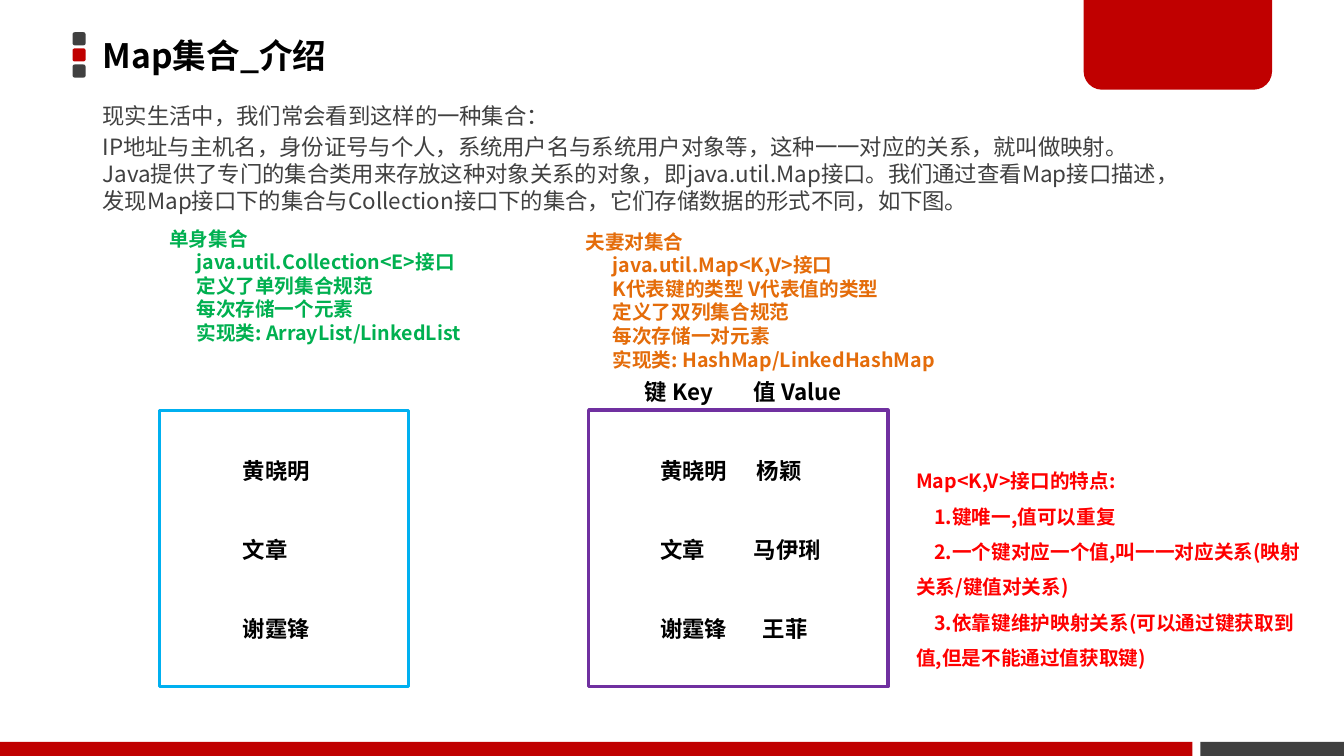
from dataclasses import dataclass

from lxml import etree
from pptx import Presentation
from pptx import util as u
from pptx.dml import color
from pptx.enum import shapes, text
from pptx.oxml import ns

# Grid of square cells, a tenth of an inch each
COLUMNS, ROWS = 133.33, 75
CELL = u.Inches(0.1)

TITLE_FONT, NOTE_FONT = "Noto Sans CJK JP", "Noto Sans CJK SC"
BLACK, GRAY, CRIMSON = "000000", "404040", "C00000"
GREEN, ORANGE, RED = "00B050", "E46C0A", "FF0000"
SKY, PURPLE = "00B0F0", "7030A0"

RECTANGLE = shapes.MSO_SHAPE.RECTANGLE
ROUNDED = shapes.MSO_SHAPE.ROUNDED_RECTANGLE
TAB_SHAPE = shapes.MSO_SHAPE.ROUND_2_SAME_RECTANGLE


@dataclass
class Area:
    """A place on the slide, in grid columns and rows."""
    column: float
    row: float
    width: float
    height: float

    def lengths(self) -> list[int]:
        return [cells(n) for n in (self.column, self.row, self.width, self.height)]


@dataclass
class Block:
    area: Area
    kind: int
    fill: str = ""
    line: str = ""
    line_width: float = 0
    adjustments: tuple = ()


@dataclass
class Note:
    """Text; margin and indent apply to every paragraph after the first."""
    area: Area
    lines: list[str]
    size: float
    color: str = BLACK
    font: str = NOTE_FONT
    bold: bool = True
    middle: bool = False
    margin: float = 0
    indent: float = 0
    tab: float = 0
    space_before: float = 0
    line_spacing: float = 1


def cells(count: float) -> int:
    return round(count * CELL)


def rgb(value: str) -> color.RGBColor:
    return color.RGBColor.from_string(value)


def draw_block(slide, block: Block) -> None:
    shape = slide.shapes.add_shape(block.kind, *block.area.lengths())
    shape.shadow.inherit = False
    for index, value in enumerate(block.adjustments):
        shape.adjustments[index] = value
    if block.fill:
        shape.fill.solid()
        shape.fill.fore_color.rgb = rgb(block.fill)
    else:
        shape.fill.background()
    if block.line:
        shape.line.color.rgb = rgb(block.line)
        shape.line.width = u.Pt(block.line_width)
    else:
        shape.line.fill.background()


def format_paragraph(paragraph, note: Note, is_first: bool) -> None:
    paragraph.line_spacing = note.line_spacing
    paragraph.space_before = u.Pt(note.space_before)
    properties = paragraph._p.get_or_add_pPr()
    if not is_first:
        properties.set("marL", str(cells(note.margin)))
        properties.set("indent", str(cells(note.indent)))
    if note.tab:
        tabs = etree.SubElement(properties, ns.qn("a:tabLst"))
        etree.SubElement(tabs, ns.qn("a:tab"), pos=str(cells(note.tab)), algn="l")
    for run in paragraph.runs:
        font = run.font
        font.name, font.size, font.bold = note.font, u.Pt(note.size), note.bold
        font.color.rgb = rgb(note.color)
        etree.SubElement(run._r.get_or_add_rPr(), ns.qn("a:ea"), typeface=note.font)


def draw_note(slide, note: Note) -> None:
    frame = slide.shapes.add_textbox(*note.area.lengths()).text_frame
    frame.word_wrap = True
    if note.middle:
        frame.vertical_anchor = text.MSO_ANCHOR.MIDDLE
    frame.text = "\n".join(note.lines)
    for index, paragraph in enumerate(frame.paragraphs):
        format_paragraph(paragraph, note, index == 0)


FRAME_TOP, FRAME_HEIGHT = 40.7, 27.4
NAME_TOP, NAME_STEP, NAME_HEIGHT = 44.9, 7.83, 3.7

BLOCKS = [
    *(Block(Area(7.2, 3.2 + 1.6 * i, 1.3, 1.3), ROUNDED, fill)
      for i, fill in enumerate((GRAY, CRIMSON, GRAY))),
    Block(Area(119.1, 73.6, COLUMNS - 119.1, 1.4), RECTANGLE, GRAY),
    Block(Area(107.5, -0.3, 18.7, 9.2), TAB_SHAPE, CRIMSON, adjustments=(0, 0.2)),
    Block(Area(0, 73.6, 118.3, 1.4), RECTANGLE, CRIMSON),
    Block(Area(15.8, FRAME_TOP, 24.7, FRAME_HEIGHT), RECTANGLE, line=SKY, line_width=2),
    Block(Area(58.4, FRAME_TOP, 29.7, FRAME_HEIGHT), RECTANGLE, line=PURPLE, line_width=2.5),
]

# Key, value and the tab stop of the value
COUPLES = [("黄晓明", "杨颖", 9.6), ("文章", "马伊琍", 9.3), ("谢霆锋", "王菲", 10.2)]

NOTES = [
    Note(Area(9.2, 2.6, 95.9, 5.7), ["Map集合_介绍"], 24, font=TITLE_FONT, middle=True),
    Note(Area(9.2, 5.4, 107.7, 20.5), [
        "现实生活中，我们常会看到这样的一种集合：",
        "IP地址与主机名，身份证号与个人，系统用户名与系统用户对象等，这种一一对应的关系，就叫做映射。"
        "Java提供了专门的集合类用来存放这种对象关系的对象，即java.util.Map接口。"
        "我们通过查看Map接口描述，发现Map接口下的集合与Collection接口下的集合，"
        "它们存储数据的形式不同，如下图。",
    ], 16, GRAY, TITLE_FONT, bold=False, middle=True, space_before=3.2),
    Note(Area(15.8, 22, 36.8, 12.8), [
        "单身集合",
        "java.util.Collection<E>接口",
        "定义了单列集合规范",
        "每次存储一个元素",
        "实现类: ArrayList/LinkedList",
    ], 14, GREEN, margin=2.7),
    Note(Area(57.1, 22.3, 43.3, 15.1), [
        "夫妻对集合",
        "java.util.Map<K,V>接口",
        "K代表键的类型 V代表值的类型",
        "定义了双列集合规范",
        "每次存储一对元素",
        "实现类: HashMap/LinkedHashMap",
    ], 14, ORANGE, margin=2.7),
    Note(Area(63, 37, 23.7, NAME_HEIGHT), ["键 Key\t值 Value"], 16, tab=10.8),
    Note(Area(89.9, 44.9, 40.6, 21.8), [
        "Map<K,V>接口的特点:",
        "1.键唯一,值可以重复",
        "2.一个键对应一个值,叫一一对应关系(映射关系/键值对关系)",
        "3.依靠键维护映射关系(可以通过键获取到值,但是不能通过值获取键)",
    ], 14, RED, indent=1.8, line_spacing=1.5),
]
for position, (key, value, stop) in enumerate(COUPLES):
    top = NAME_TOP + position * NAME_STEP
    NOTES.append(Note(Area(23.1, top, 10.1, NAME_HEIGHT), [key], 16))
    NOTES.append(Note(Area(64.5, top, 23.7, NAME_HEIGHT), [f"{key}\t{value}"], 16, tab=stop))


def main() -> None:
    presentation = Presentation()
    presentation.slide_width, presentation.slide_height = cells(COLUMNS), cells(ROWS)
    slide = presentation.slides.add_slide(presentation.slide_layouts[6])
    for block in BLOCKS:
        draw_block(slide, block)
    for note in NOTES:
        draw_note(slide, note)
    presentation.save("out.pptx")


if __name__ == "__main__":
    main()
